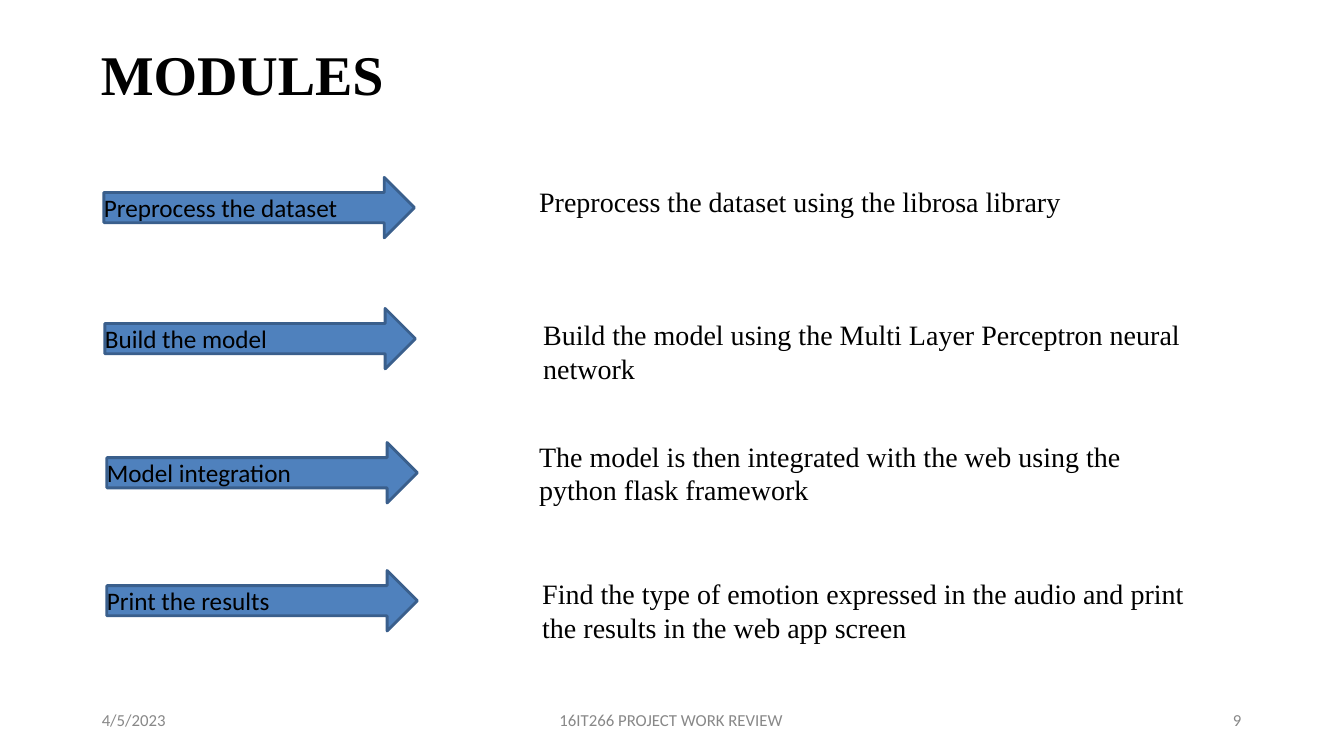
from pptx import Presentation
from pptx.dml.color import RGBColor
from pptx.enum import shapes, text
from pptx.util import Pt

BLACK = RGBColor(0x00, 0x00, 0x00)
GREY = RGBColor(0x88, 0x88, 0x88)
BLUE = RGBColor(0x4F, 0x81, 0xBD)
DARK_BLUE = RGBColor(0x3A, 0x5F, 0x8C)
SERIF, SANS = "Times New Roman", "Calibri"

# Arrow label, arrow (left, top), description, description (left, top)
MODULES = [
    ("Preprocess the dataset", (74.2, 126.7),
     "Preprocess the dataset using the librosa library", (378, 128.2)),
    ("Build the model", (74.9, 220.3),
     "Build the model using the Multi Layer Perceptron neural network",
     (380.9, 223.2)),
    ("Model integration", (76.3, 316.1),
     "The model is then integrated with the web using the python flask framework",
     (378, 310.3)),
    ("Print the results", (76.3, 407.5),
     "Find the type of emotion expressed in the audio and print the results "
     "in the web app screen", (380.2, 408.2)),
]
# Footer text, left, width
FOOTER = [
    ("4/5/2023", 72.7, 53),
    ("16IT266 PROJECT WORK REVIEW", 399.6, 162),
    ("9", 880.6, 10),
]


def write(sp, words, font, size, color, bold=False, inset=True, wrap=True,
          anchor=text.MSO_ANCHOR.TOP):
    tf = sp.text_frame
    tf.auto_size = text.MSO_AUTO_SIZE.NONE
    tf.word_wrap = wrap
    tf.vertical_anchor = anchor
    if not inset:
        tf.margin_left = tf.margin_right = tf.margin_top = tf.margin_bottom = 0
    p = tf.paragraphs[0]
    p.text = words
    p.alignment = text.PP_ALIGN.LEFT
    p.font.name, p.font.size, p.font.bold = font, Pt(size), bold
    p.font.color.rgb = color
    return p


def add_title(s, left, top, width, height):
    sp = s.shapes.title
    sp.left, sp.top, sp.width, sp.height = map(Pt, (left, top, width, height))
    write(sp, "MODULES", SERIF, 40, BLACK, bold=True, inset=False)


def add_arrow(s, left, top, label, width=221.8, height=43.2):
    sp = s.shapes.add_shape(shapes.MSO_SHAPE.RIGHT_ARROW,
                            Pt(left), Pt(top), Pt(width), Pt(height))
    sp.shadow.inherit = False
    sp.fill.solid()
    sp.fill.fore_color.rgb = BLUE
    sp.line.color.rgb = DARK_BLUE
    sp.line.width = Pt(2)
    write(sp, label, SANS, 18, BLACK, inset=False,
          anchor=text.MSO_ANCHOR.MIDDLE)


def add_description(s, left, top, words, width=480, height=55.4):
    sp = s.shapes.add_textbox(Pt(left), Pt(top), Pt(width), Pt(height))
    write(sp, words, SERIF, 20, BLACK)


def add_footer(s, top, height):
    for words, left, width in FOOTER:
        sp = s.shapes.add_textbox(Pt(left), Pt(top), Pt(width), Pt(height))
        p = write(sp, words, SANS, 12, GREY, inset=False, wrap=False)
        p.line_spacing = Pt(12.4)


def main():
    prs = Presentation()
    prs.slide_width, prs.slide_height = Pt(960), Pt(540)
    s = prs.slides.add_slide(prs.slide_layouts[5])

    # Heading
    add_title(s, 72, 28, 816, 48)

    # One arrow and description per module
    for label, arrow_at, words, words_at in MODULES:
        add_arrow(s, *arrow_at, label)
        add_description(s, *words_at, words)

    # Date, review name and page number
    add_footer(s, 509, 13.7)
    prs.save("out.pptx")


if __name__ == "__main__":
    main()
